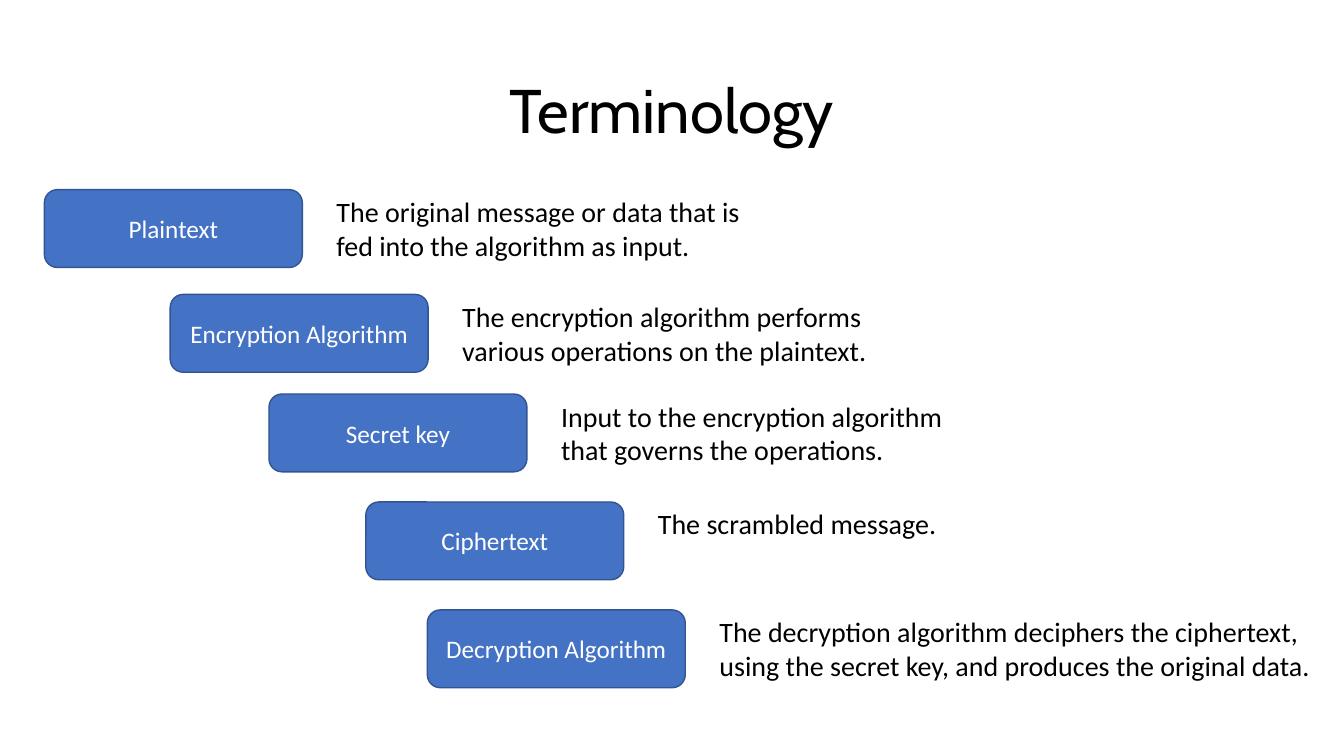
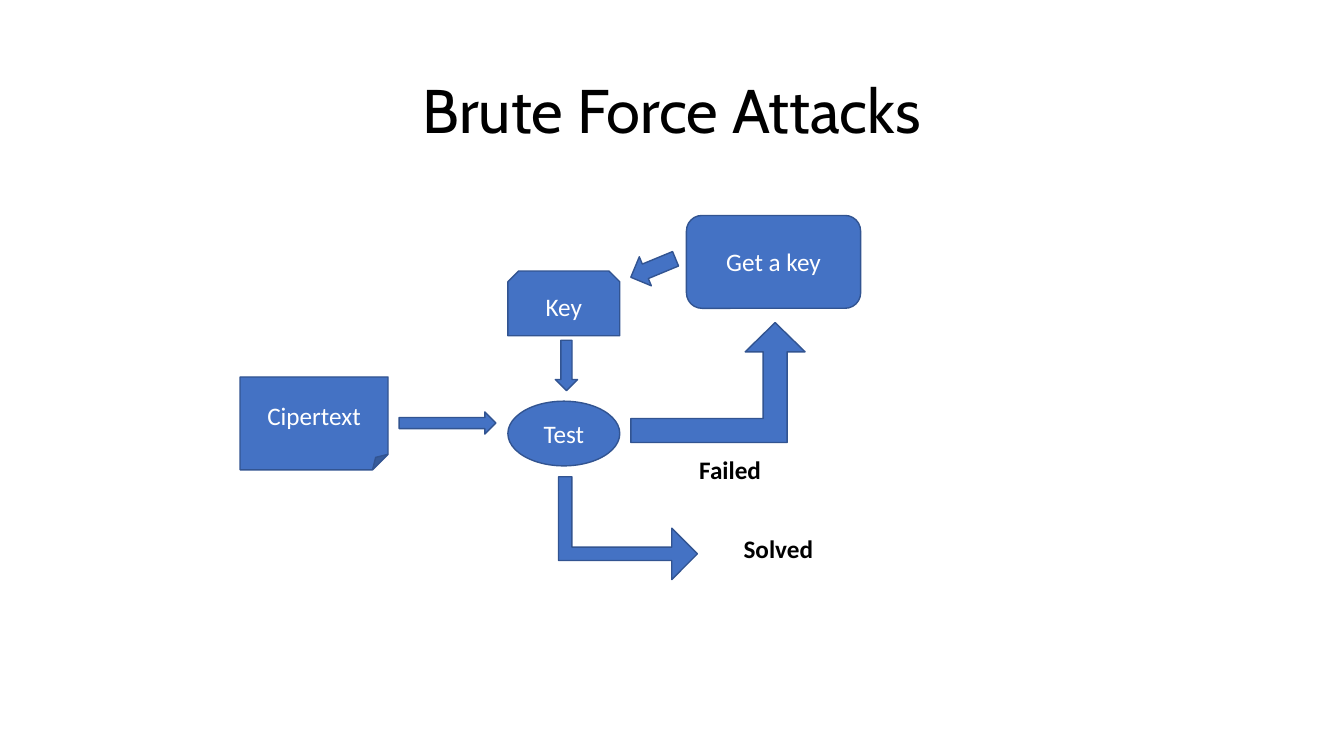
from dataclasses import dataclass

from pptx import Presentation
from pptx.dml.color import RGBColor
from pptx.enum import shapes, text
from pptx.util import Cm, Pt


@dataclass(frozen=True)
class Theme:
    fill: RGBColor = RGBColor(0x44, 0x72, 0xC4)
    outline: RGBColor = RGBColor(0x32, 0x54, 0x91)
    ink: RGBColor = RGBColor(0, 0, 0)
    on_fill: RGBColor = RGBColor(255, 255, 255)
    title_font: str = "Cabin"
    body_font: str = "Calibri"
    title_size: Pt = Pt(44)
    body_size: Pt = Pt(20)
    label_size: Pt = Pt(18)
    line_width: Pt = Pt(1)


THEME = Theme()
KIND = shapes.MSO_SHAPE

# All lengths below are centimetres.
SLIDE_SIZE = (33.87, 19.05)
TITLE_AREA = (2.33, 1.01, 29.21, 3.68)

# term, definition, left, top, definition width
TERMS = [
    ("Plaintext", "The original message or data that is fed into the algorithm as input.",
     1.12, 4.78, 11.33),
    ("Encryption Algorithm", "The encryption algorithm performs various operations on the plaintext.",
     4.29, 7.42, 11.33),
    ("Secret key", "Input to the encryption algorithm that governs the operations.",
     6.78, 9.93, 11.33),
    ("Ciphertext", "The scrambled message.", 9.22, 12.65, 11.33),
    ("Decryption Algorithm",
     "The decryption algorithm deciphers the ciphertext, using the secret key, "
     "and produces the original data.", 10.77, 15.37, 15.65),
]
TERM_SIZE = (6.5, 1.96)
TERM_GAP = 0.61

# kind, area, label
NODES = [
    (KIND.FOLDED_CORNER, (6.05, 9.5, 3.73, 2.34), "Cipertext"),
    (KIND.SNIP_2_SAME_RECTANGLE, (12.8, 6.83, 2.82, 1.63), "Key"),
    (KIND.OVAL, (12.8, 10.11, 2.82, 1.63), "Test"),
    (KIND.ROUNDED_RECTANGLE, (17.3, 5.43, 4.39, 2.34), "Get a key"),
]

# kind, area, rotation, adjustments
ARROWS = [
    (KIND.RIGHT_ARROW, (10.06, 10.38, 2.44, 0.56), 0, ()),
    (KIND.RIGHT_ARROW, (13.64, 8.93, 1.27, 0.56), 90, ()),
    (KIND.RIGHT_ARROW, (15.85, 6.36, 1.22, 0.79), 157.5, ()),
    (KIND.BENT_UP_ARROW, (15.9, 8.13, 3.96 + 0.43, 3.02), 0, (0.2, 0.25, 0.244)),
    (KIND.BENT_UP_ARROW, (14.53, 11.56, 2.59, 3.5), 90, (0.13, 0.25, 0.25)),
]

OUTCOMES = [
    ("Failed", (17.37, 11.33, 3.2, 1.02)),
    ("Solved", (18.49, 13.31, 3.2, 1.02)),
]


def place(area):
    return [Cm(length) for length in area]


def write(frame, words, size, color, font=THEME.body_font, bold=False, centered=False):
    frame.word_wrap = True
    paragraph = frame.paragraphs[0]
    paragraph.text = words
    paragraph.font.name = font
    paragraph.font.size = size
    paragraph.font.bold = bold
    paragraph.font.color.rgb = color
    if centered:
        paragraph.alignment = text.PP_ALIGN.CENTER
        frame.vertical_anchor = text.MSO_ANCHOR.MIDDLE
    return paragraph


def add_text(slide, area, words, size, **style):
    frame = slide.shapes.add_textbox(*place(area)).text_frame
    return write(frame, words, size, THEME.ink, **style)


def add_block(slide, kind, area, label=""):
    shape = slide.shapes.add_shape(kind, *place(area))
    shape.shadow.inherit = False
    shape.fill.solid()
    shape.fill.fore_color.rgb = THEME.fill
    shape.line.color.rgb = THEME.outline
    shape.line.width = THEME.line_width
    if label:
        write(shape.text_frame, label, THEME.label_size, THEME.on_fill, centered=True)
    return shape


def add_titled_slide(presentation, title):
    slide = presentation.slides.add_slide(presentation.slide_layouts[6])
    paragraph = add_text(slide, TITLE_AREA, title, THEME.title_size,
                         font=THEME.title_font, centered=True)
    paragraph.line_spacing = 0.9
    return slide


def build_terminology(presentation):
    slide = add_titled_slide(presentation, "Terminology")
    width, height = TERM_SIZE
    for term, definition, left, top, definition_width in TERMS:
        add_block(slide, KIND.ROUNDED_RECTANGLE, (left, top, width, height), term)
        area = (left + width + TERM_GAP, top, definition_width, height)
        add_text(slide, area, definition, THEME.body_size)


def build_brute_force(presentation):
    slide = add_titled_slide(presentation, "Brute Force Attacks")
    for kind, area, label in NODES:
        add_block(slide, kind, area, label)
    for kind, area, rotation, adjustments in ARROWS:
        arrow = add_block(slide, kind, area)
        arrow.rotation = rotation
        for index, value in enumerate(adjustments):
            arrow.adjustments[index] = value
    for outcome, area in OUTCOMES:
        add_text(slide, area, outcome, THEME.label_size, bold=True)


def main():
    presentation = Presentation()
    presentation.slide_width, presentation.slide_height = place(SLIDE_SIZE)
    build_terminology(presentation)
    build_brute_force(presentation)
    presentation.save("out.pptx")


if __name__ == "__main__":
    main()
